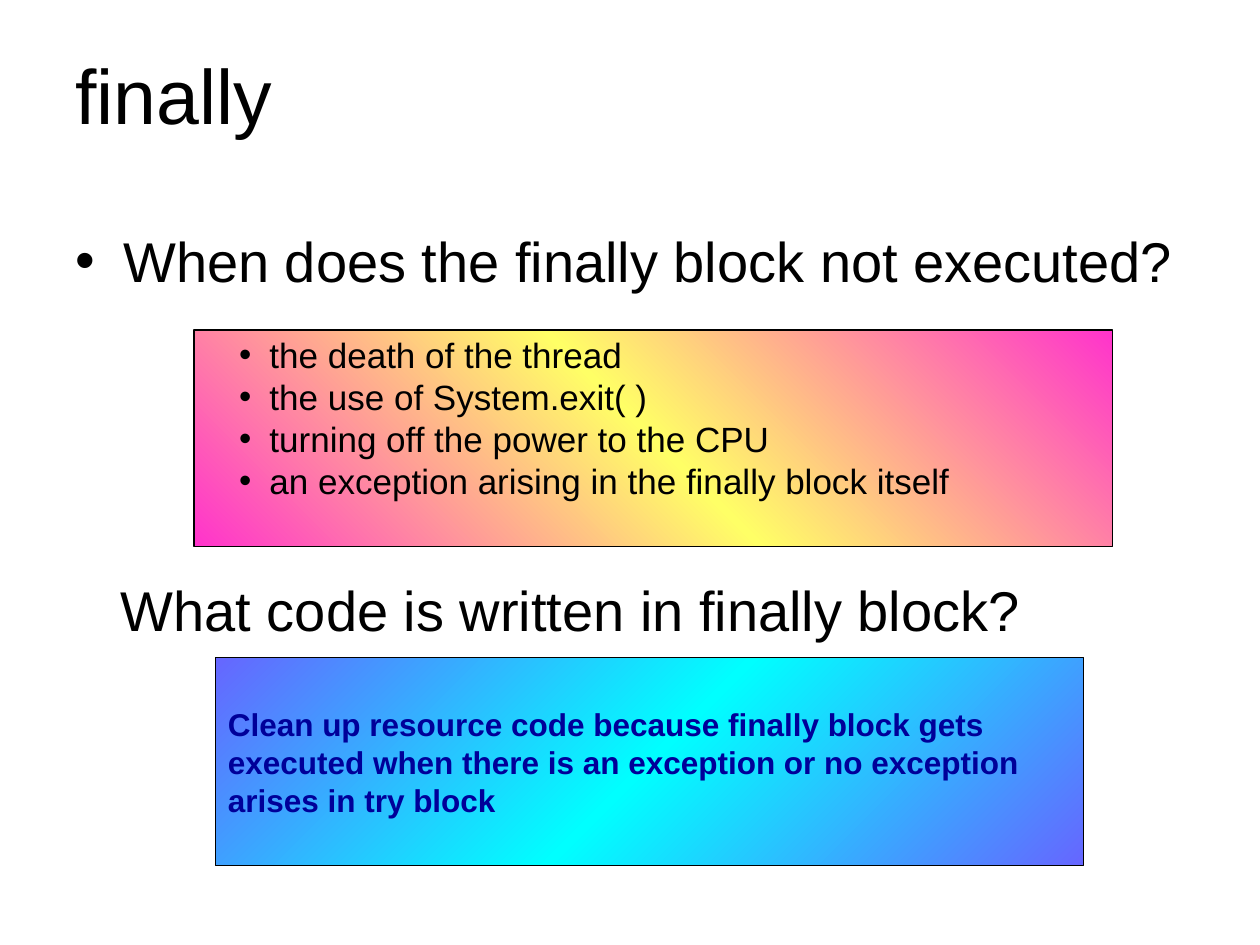
from copy import deepcopy
from dataclasses import dataclass, field
from typing import Optional

from lxml.etree import SubElement
from pptx import Presentation
from pptx.dml.color import RGBColor
from pptx.enum.shapes import MSO_SHAPE
from pptx.enum.text import MSO_ANCHOR, PP_ALIGN
from pptx.oxml.ns import qn
from pptx.util import Inches, Pt

FONT = "Arial"
BLACK, NAVY = "000000", "000099"


@dataclass(frozen=True)
class Bullet:
    margin: float
    hang: float
    level: int = 0


@dataclass(frozen=True)
class Gradient:
    edge: str
    middle: str
    angle: int  # counter-clockwise degrees


@dataclass(frozen=True)
class Block:
    left: float
    top: float
    width: float
    height: float
    lines: tuple[str, ...]
    size: int
    color: str = BLACK
    bold: bool = False
    space_before: int = 0
    bullet: Optional[Bullet] = None
    gradient: Optional[Gradient] = None
    frame: dict = field(default_factory=dict)


MIDDLE = {"vertical_anchor": MSO_ANCHOR.MIDDLE}

BLOCKS = (
    # Title
    Block(0.5, 0.3, 9, 0.88, ("finally",), 44, frame=MIDDLE),
    # First question and its answers
    Block(0.5, 1.75, 9, 1.09, ("When does the finally block not executed?",), 32,
          space_before=8, bullet=Bullet(0.38, 0.38)),
    Block(1.54, 2.62, 7.29, 1.72,
          ("the death of the thread",
           "the use of System.exit( )",
           "turning off the power to the CPU",
           "an exception arising in the finally block itself"),
          20, bullet=Bullet(0.5, 0.24, level=1),
          gradient=Gradient("FF33CC", "FFFF66", 45),
          frame=MIDDLE | {"margin_bottom": Inches(0.39)}),
    # Second question and its answer
    Block(0.86, 4.52, 7.91, 0.64, ("What code is written in finally block?",), 32,
          space_before=20),
    Block(1.71, 5.22, 6.89, 1.65,
          ("Clean up resource code because finally block gets executed when "
           "there is an exception or no exception arises in try block",),
          18, color=NAVY, bold=True,
          gradient=Gradient("6666FF", "00FFFF", 315), frame=MIDDLE),
)


def rgb(color: str) -> RGBColor:
    return RGBColor.from_string(color)


def set_values(target, values: dict) -> None:
    for name, value in values.items():
        setattr(target, name, value)


def paint(panel, gradient: Gradient) -> None:
    """Give a panel a symmetric three-stop gradient and a thin black line."""
    panel.shadow.inherit = False
    panel.line.color.rgb = rgb(BLACK)
    panel.line.width = Pt(0.75)
    panel.fill.gradient()
    panel.fill.gradient_angle = gradient.angle
    stop_list = next(panel._element.spPr.iter(qn("a:gsLst")))
    stop_list.insert(1, deepcopy(stop_list[0]))
    colors = (gradient.edge, gradient.middle, gradient.edge)
    for stop, color, position in zip(panel.fill.gradient_stops, colors, (0, 0.5, 1)):
        stop.color.rgb = rgb(color)
        stop.position = position


def add_bullet(paragraph, bullet: Bullet) -> None:
    paragraph.level = bullet.level
    properties = paragraph._p.get_or_add_pPr()
    properties.set("marL", str(Inches(bullet.margin)))
    properties.set("indent", str(-Inches(bullet.hang)))
    bullet_color = SubElement(properties, qn("a:buClr"))
    SubElement(bullet_color, qn("a:srgbClr"), val=BLACK)
    SubElement(properties, qn("a:buFont"), typeface=FONT)
    SubElement(properties, qn("a:buChar"), char="•")


def add_block(slide, block: Block) -> None:
    bounds = [Inches(v) for v in (block.left, block.top, block.width, block.height)]
    if block.gradient:
        box = slide.shapes.add_shape(MSO_SHAPE.RECTANGLE, *bounds)
        paint(box, block.gradient)
    else:
        box = slide.shapes.add_textbox(*bounds)

    text_frame = box.text_frame
    set_values(text_frame, {"word_wrap": True} | block.frame)
    text_frame.text = "\n".join(block.lines)
    for paragraph in text_frame.paragraphs:
        set_values(paragraph, {"alignment": PP_ALIGN.LEFT,
                               "space_before": Pt(block.space_before)})
        if block.bullet:
            add_bullet(paragraph, block.bullet)
        font = paragraph.runs[0].font
        set_values(font, {"name": FONT, "size": Pt(block.size), "bold": block.bold})
        font.color.rgb = rgb(block.color)


def main() -> None:
    deck = Presentation()
    set_values(deck, {"slide_width": Inches(10), "slide_height": Inches(7.5)})
    slide = deck.slides.add_slide(deck.slide_layouts[6])
    for block in BLOCKS:
        add_block(slide, block)
    deck.save("out.pptx")


if __name__ == "__main__":
    main()
